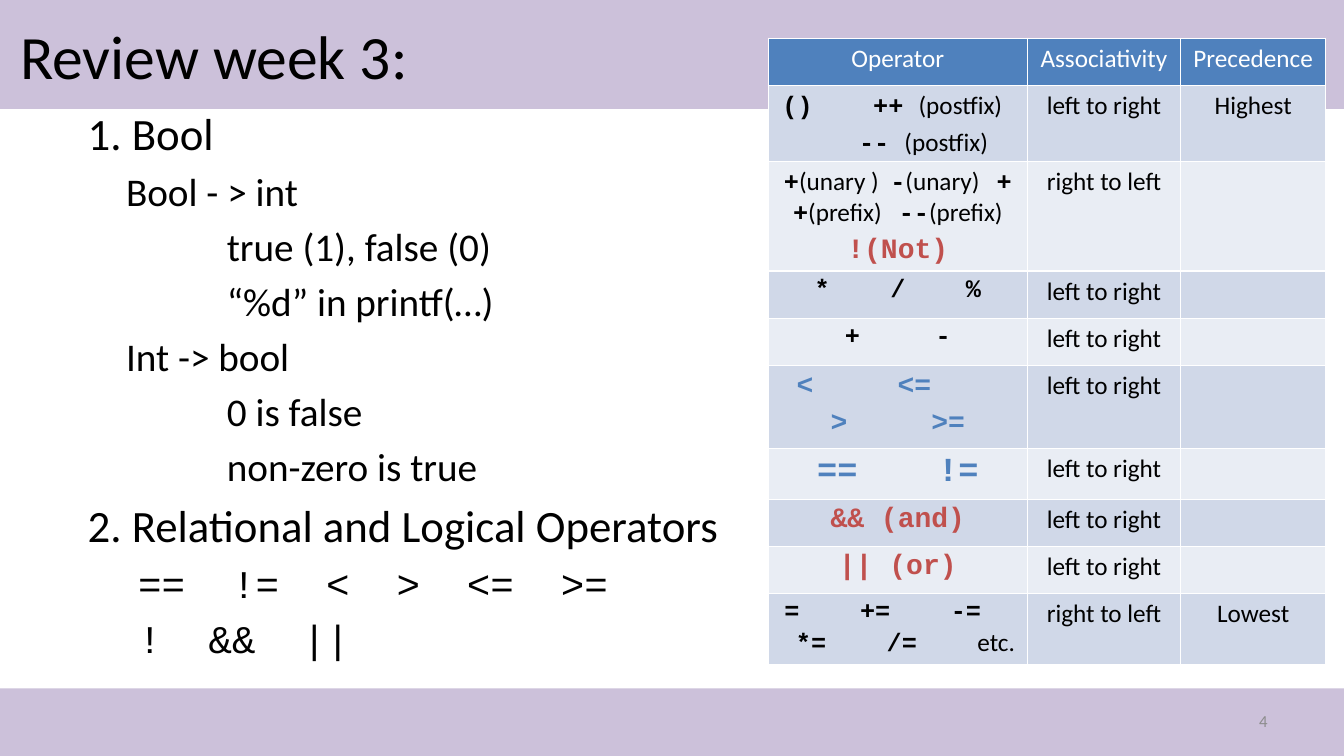
from pptx import Presentation
from pptx.dml.color import RGBColor
from pptx.enum.shapes import MSO_SHAPE
from pptx.enum.text import MSO_ANCHOR, MSO_AUTO_SIZE, PP_ALIGN
from pptx.oxml.ns import qn
from pptx.util import Inches, Pt
from lxml.etree import SubElement

COLORS = {
    "band": "CCC1DA", "black": "000000", "white": "FFFFFF", "grey": "8C8C8C",
    "blue": "4F81BD", "red": "C0504D", "dark row": "D0D8E8", "light row": "E9EDF4",
}
SANS, MONO = "Calibri", "Courier New"

# Body lines: text, size, indent, font
BODY_LINES = [
    ("1. Bool", 32, 0, SANS),
    ("Bool - > int", 28, 0.38, SANS),
    ("true (1), false (0)", 28, 1.38, SANS),
    ("“%d” in printf(…)", 28, 1.38, SANS),
    ("Int -> bool", 28, 0.38, SANS),
    ("0 is false", 28, 1.38, SANS),
    ("non-zero is true", 28, 1.38, SANS),
    ("2. Relational and Logical Operators", 32, 0, SANS),
    ("==  !=  <  >  <=  >=", 28, 0.5, MONO),
    ("!  &&  ||", 28, 0.5, MONO),
]


def words(text):
    return text, SANS, 18, "black"


def code(text, size=18, color="black"):
    return text, MONO, size, color


# A line of a cell: its runs, left indent, right indent
LEFT, RIGHT = "left to right", "right to left"
OPERATOR_ROWS = [
    ([([code("()    ++ "), words("(postfix)")], 0, 0.11),
      ([code("-- "), words("(postfix)")], 0.51, 0)], LEFT, "Highest", 0.67),
    ([([code("+"), words("(unary )  "), code("-"), words("(unary)   "),
        code("++"), words("(prefix)   "), code("--"), words("(prefix)")], 0, 0),
      ([code("!(Not)", 20, "red")], 0, 0)], RIGHT, "", 0.62),
    ([([code("*    /    %")], 0, 0)], LEFT, "", 0.47),
    ([([code("+     -")], 0, 0)], LEFT, "", 0.47),
    ([([code("<     <=", 20, "blue")], 0, 0.67),
      ([code(">     >=", 20, "blue")], 0, 0)], LEFT, "", 0.62),
    ([([code("==    !=", 24, "blue")], 0, 0)], LEFT, "", 0.47),
    ([([code("&& (and)", 20, "red")], 0, 0)], LEFT, "", 0.47),
    ([([code("|| (or)", 20, "red")], 0, 0)], LEFT, "", 0.47),
    ([([code("=    +=    -=    *=    /=    "), words("etc.")], 0, 0)],
     RIGHT, "Lowest", 0.62),
]


def rgb(name):
    return RGBColor.from_string(COLORS[name])


def place(shape, box):
    shape.left, shape.top, shape.width, shape.height = map(Inches, box)


def add_run(paragraph, text, font, size, color, bold=False):
    run = paragraph.add_run()
    run.text = text
    run.font.name, run.font.size, run.font.bold = font, Pt(size), bold
    run.font.color.rgb = rgb(color)


def set_indent(paragraph, left, right=0):
    properties = paragraph._p.get_or_add_pPr()
    properties.set("marL", str(Inches(left)))
    properties.set("marR", str(Inches(right)))
    properties.set("indent", "0")
    return properties


def next_paragraph(text_frame, index):
    return text_frame.add_paragraph() if index else text_frame.paragraphs[0]


def add_band(slide, box, depth):
    band = slide.shapes.add_shape(MSO_SHAPE.RECTANGLE, *map(Inches, box))
    band.shadow.inherit = False
    band.fill.solid()
    band.fill.fore_color.rgb = rgb("band")
    band.line.fill.background()
    # Keep the band behind the placeholders
    slide.shapes._spTree.insert(2 + depth, band._element)


def fill_title(slide, box):
    title = slide.shapes.title
    place(title, box)
    title.text_frame.vertical_anchor = MSO_ANCHOR.MIDDLE
    paragraph = title.text_frame.paragraphs[0]
    paragraph.alignment = PP_ALIGN.LEFT
    add_run(paragraph, "Review week 3:", SANS, 44, "black")


def fill_body(slide, box):
    body = slide.placeholders[1]
    place(body, box)
    body.text_frame.auto_size = MSO_AUTO_SIZE.NONE
    for index, (text, size, indent, font) in enumerate(BODY_LINES):
        paragraph = next_paragraph(body.text_frame, index)
        paragraph.level = 1 if indent else 0
        paragraph.space_before = Pt(size * 0.2 if index else 0)
        SubElement(set_indent(paragraph, indent), qn("a:buNone"))
        add_run(paragraph, text, font, size, "black")


def fill_cell(cell, lines, fill):
    cell.fill.solid()
    cell.fill.fore_color.rgb = rgb(fill)
    for index, (runs, left, right) in enumerate(lines):
        paragraph = next_paragraph(cell.text_frame, index)
        paragraph.alignment = PP_ALIGN.CENTER
        paragraph.space_before = Pt(runs[0][2] * 0.2 if index else 0)
        set_indent(paragraph, left, right)
        for text, font, size, color in runs:
            add_run(paragraph, text, font, size, color, bold=font == MONO)


def add_operator_table(slide, box):
    frame = slide.shapes.add_table(len(OPERATOR_ROWS) + 1, 3, *map(Inches, box))
    table = frame.table
    for column, width in zip(table.columns, (2.57, 1.52, 1.44)):
        column.width = Inches(width)

    # Header
    table.rows[0].height = Inches(0.47)
    for column, heading in enumerate(("Operator", "Associativity", "Precedence")):
        runs = [(heading, SANS, 18, "white")]
        fill_cell(table.cell(0, column), [(runs, 0, 0)], "blue")

    # Operators, in shaded bands
    for row, (operators, direction, rank, height) in enumerate(OPERATOR_ROWS, 1):
        fill = "dark row" if row % 2 else "light row"
        table.rows[row].height = Inches(height)
        fill_cell(table.cell(row, 0), operators, fill)
        for column, text in enumerate((direction, rank), 1):
            lines = [([words(text)], 0, 0)] if text else []
            fill_cell(table.cell(row, column), lines, fill)


def add_slide_number(slide, box):
    text_box = slide.shapes.add_textbox(*map(Inches, box))
    text_box.text_frame.word_wrap = True
    text_box.text_frame.vertical_anchor = MSO_ANCHOR.MIDDLE
    paragraph = text_box.text_frame.paragraphs[0]
    paragraph.alignment = PP_ALIGN.RIGHT
    add_run(paragraph, "4", SANS, 12, "grey")


def main():
    presentation = Presentation()
    presentation.slide_width, presentation.slide_height = Inches(13.33), Inches(7.5)
    slide = presentation.slides.add_slide(presentation.slide_layouts[1])
    add_band(slide, (0, 0, 13.33, 1.08), 0)
    add_band(slide, (0, 6.83, 13.33, 0.67), 1)
    fill_title(slide, (0.1, 0.08, 12, 0.92))
    fill_body(slide, (0.77, 1, 6.57, 6.18))
    add_slide_number(slide, (9.56, 6.95, 3.11, 0.4))
    add_operator_table(slide, (7.62, 0.38, 5.53, 6.23))
    presentation.save("out.pptx")


if __name__ == "__main__":
    main()
